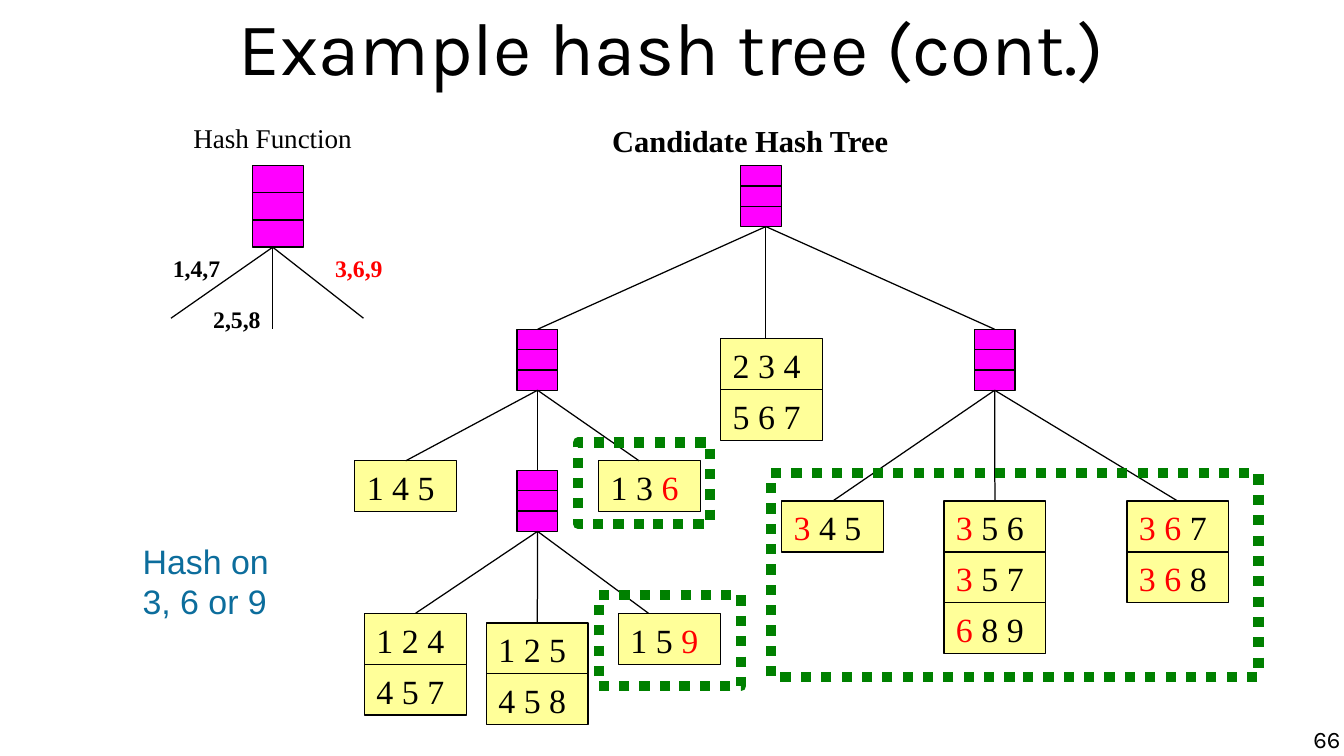
"""Build the slide showing which candidate hash tree leaves are reached by 3, 6 or 9."""
import pptx
import pptx.dml.color
import pptx.enum.dml
import pptx.enum.shapes
import pptx.enum.text
import pptx.oxml
import pptx.util
from pptx.util import Cm, Pt

BLACK = pptx.dml.color.RGBColor(0x00, 0x00, 0x00)
RED = pptx.dml.color.RGBColor(0xFF, 0x00, 0x00)
MAGENTA = pptx.dml.color.RGBColor(0xFF, 0x00, 0xFF)
YELLOW = pptx.dml.color.RGBColor(0xFF, 0xFF, 0x99)
GREEN = pptx.dml.color.RGBColor(0x00, 0x80, 0x00)
BLUE = pptx.dml.color.RGBColor(0x0C, 0x6D, 0x9C)
SERIF = "Times New Roman"
LEFT = pptx.enum.text.PP_ALIGN.LEFT
RIGHT = pptx.enum.text.PP_ALIGN.RIGHT
TOP, BOTTOM = 0, 2
NODE_WIDTH, NODE_HEIGHT = 0.85, 1.27
LEAF_WIDTH, LEAF_HEIGHT = 2.12, 1.06

presentation = pptx.Presentation()
presentation.slide_width = Cm(27.99)
presentation.slide_height = Cm(15.75)
slide = presentation.slides.add_slide(presentation.slide_layouts[5])


def add_line(x1, y1, x2, y2):
    line = slide.shapes.add_connector(
        pptx.enum.shapes.MSO_CONNECTOR.STRAIGHT, Cm(x1), Cm(y1), Cm(x2), Cm(y2))
    line.line.color.rgb = BLACK
    line.line.width = Pt(0.75)
    properties = line._element.spPr
    properties.append(pptx.oxml.parse_xml(
        '<a:effectLst xmlns:a="http://schemas.openxmlformats.org/drawingml/2006/main"/>'))
    return line


def add_box(left, top, width, height, fill, color=BLACK, weight=0.75):
    box = slide.shapes.add_shape(
        pptx.enum.shapes.MSO_SHAPE.RECTANGLE, Cm(left), Cm(top), Cm(width), Cm(height))
    box.shadow.inherit = False
    if fill is None:
        box.fill.background()
    else:
        box.fill.solid()
        box.fill.fore_color.rgb = fill
    box.line.color.rgb = color
    box.line.width = Pt(weight)
    return box


title = slide.shapes.title
title.left, title.top, title.width, title.height = Cm(1.4), Cm(-0.1), Cm(25.2), Cm(2.11)
title_frame = title.text_frame
title_frame.margin_left = title_frame.margin_right = 0
title_frame.margin_top = title_frame.margin_bottom = 0
title_frame.vertical_anchor = pptx.enum.text.MSO_ANCHOR.MIDDLE
title_frame.text = "Example hash tree (cont.)"
title_frame.paragraphs[0].alignment = pptx.enum.text.PP_ALIGN.CENTER
title_font = title_frame.paragraphs[0].runs[0].font
title_font.name, title_font.size, title_font.color.rgb = "Karla", Pt(44), BLACK

boxes = {}
nodes = [
    ("root", 15.42, 3.45, NODE_WIDTH, NODE_HEIGHT),
    ("left", 10.77, 6.86, NODE_WIDTH, NODE_HEIGHT),
    ("right", 20.29, 6.86, NODE_WIDTH, NODE_HEIGHT),
    ("lower", 10.77, 9.8, NODE_WIDTH, NODE_HEIGHT),
    ("hash function", 5.26, 3.45, 1.06, 1.7),
]
for name, left, top, width, height in nodes:
    boxes[name] = add_box(left, top, width, height, MAGENTA)
    for third in (1, 2):
        divider = top + height * third / 3
        add_line(left, divider, left + width, divider)

# Odd pieces between bars are red.
leaves = [
    ("234", 15.01, 7.06, ["2 3 4", "5 6 7"]),
    ("145", 7.39, 9.6, ["1 4 5"]),
    ("136", 12.47, 9.6, ["1 3 |6"]),
    ("345", 16.28, 10.44, ["|3| 4 5"]),
    ("356", 19.66, 10.44, ["|3| 5 6", "|3| 5 7", "|6| 8 9"]),
    ("367", 23.47, 10.44, ["|3 6| 7", "|3 6| 8"]),
    ("124", 7.59, 12.78, ["1 2 4", "4 5 7"]),
    ("125", 10.13, 12.98, ["1 2 5", "4 5 8"]),
    ("159", 12.88, 12.78, ["1 5 |9"]),
]
for name, left, top, itemsets in leaves:
    for row, itemset in enumerate(itemsets):
        leaf = add_box(left, top + row * LEAF_HEIGHT, LEAF_WIDTH, LEAF_HEIGHT, YELLOW)
        boxes.setdefault(name, leaf)
        frame = leaf.text_frame
        frame.vertical_anchor = pptx.enum.text.MSO_ANCHOR.TOP
        paragraph = frame.paragraphs[0]
        paragraph.alignment = LEFT
        for index, piece in enumerate(itemset.split("|")):
            if piece:
                run = paragraph.add_run()
                run.text = piece
                run.font.name, run.font.size = SERIF, Pt(20)
                run.font.color.rgb = RED if index % 2 else BLACK

joined_branches = [
    ("left", "145"), ("left", "lower"), ("right", "345"), ("right", "356"),
    ("right", "367"), ("lower", "124"), ("lower", "125"),
]
for parent, child in joined_branches:
    branch = add_line(0, 0, 1, 1)
    branch.begin_connect(boxes[parent], BOTTOM)
    branch.end_connect(boxes[child], TOP)

half_joined_branches = [("left", 13.31, 9.6), ("lower", 13.51, 12.78)]
for parent, x, y in half_joined_branches:
    add_line(0, 0, x, y).begin_connect(boxes[parent], BOTTOM)

for child in ("left", "right"):
    add_line(15.95, 4.72, 16, 5).end_connect(boxes[child], TOP)
add_line(15.95, 4.72, 15.95, 7.06)

for x, y in [(3.56, 6.63), (5.68, 6.86), (7.57, 6.63)]:
    add_line(5.68, 5.15, x, y)

for left, top, width, height in [
        (12.47, 12.4, 2.97, 1.9), (16.05, 9.86, 10.16, 4.24), (12.04, 9.22, 2.74, 1.7)]:
    frame_box = add_box(left, top, width, height, None, GREEN, 6)
    frame_box.line.dash_style = pptx.enum.dml.MSO_LINE.ROUND_DOT

labels = [
    ("1,4,7", 3.35, 5.16, 1.5, 0.84, SERIF, 14, True, BLACK, LEFT),
    ("2,5,8", 4.19, 6.22, 1.5, 0.84, SERIF, 14, True, BLACK, LEFT),
    ("3,6,9", 6.73, 5.16, 1.5, 0.84, SERIF, 14, True, RED, LEFT),
    ("Hash Function", 3.78, 2.41, 3.81, 0.94, SERIF, 16, False, BLACK, LEFT),
    ("Candidate Hash Tree", 12.5, 2.41, 6.25, 1.02, SERIF, 18, True, BLACK, LEFT),
    ("Hash on 3, 6 or 9", 2.72, 11.13, 3.18, 1.96, "Arial", 20, False, BLUE, LEFT),
    ("66", 21.39, 15.11, 6.53, 0.64, "Karla", 14, False, BLACK, RIGHT),
]
for text, left, top, width, height, font_name, size, bold, color, alignment in labels:
    label = slide.shapes.add_textbox(Cm(left), Cm(top), Cm(width), Cm(height))
    frame = label.text_frame
    frame.word_wrap = font_name != SERIF
    if alignment == RIGHT:
        frame.margin_left = frame.margin_right = frame.margin_top = frame.margin_bottom = 0
    frame.text = text
    paragraph = frame.paragraphs[0]
    paragraph.alignment = alignment
    font = paragraph.runs[0].font
    font.name, font.size, font.bold, font.color.rgb = font_name, Pt(size), bold, color

presentation.save("out.pptx")
